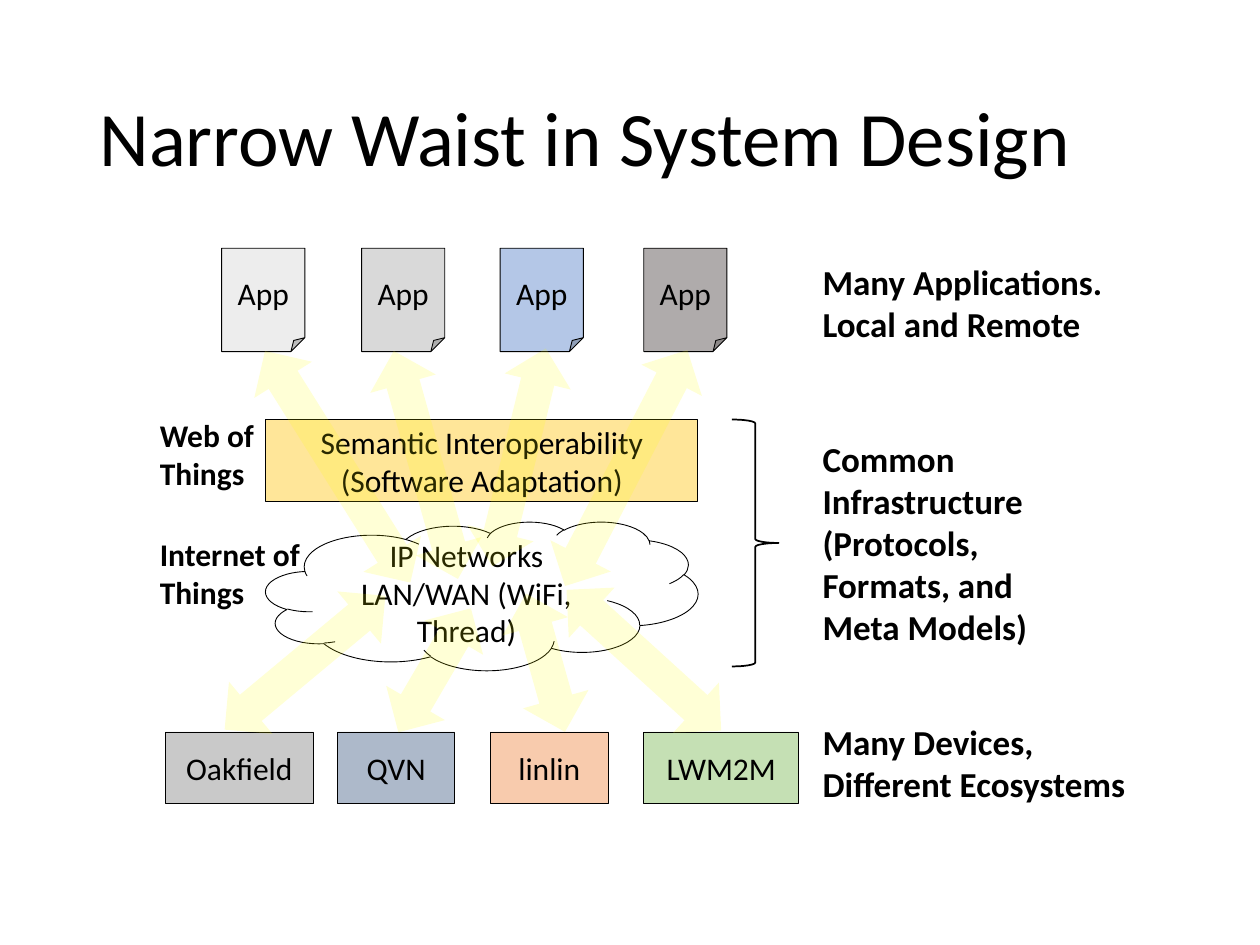
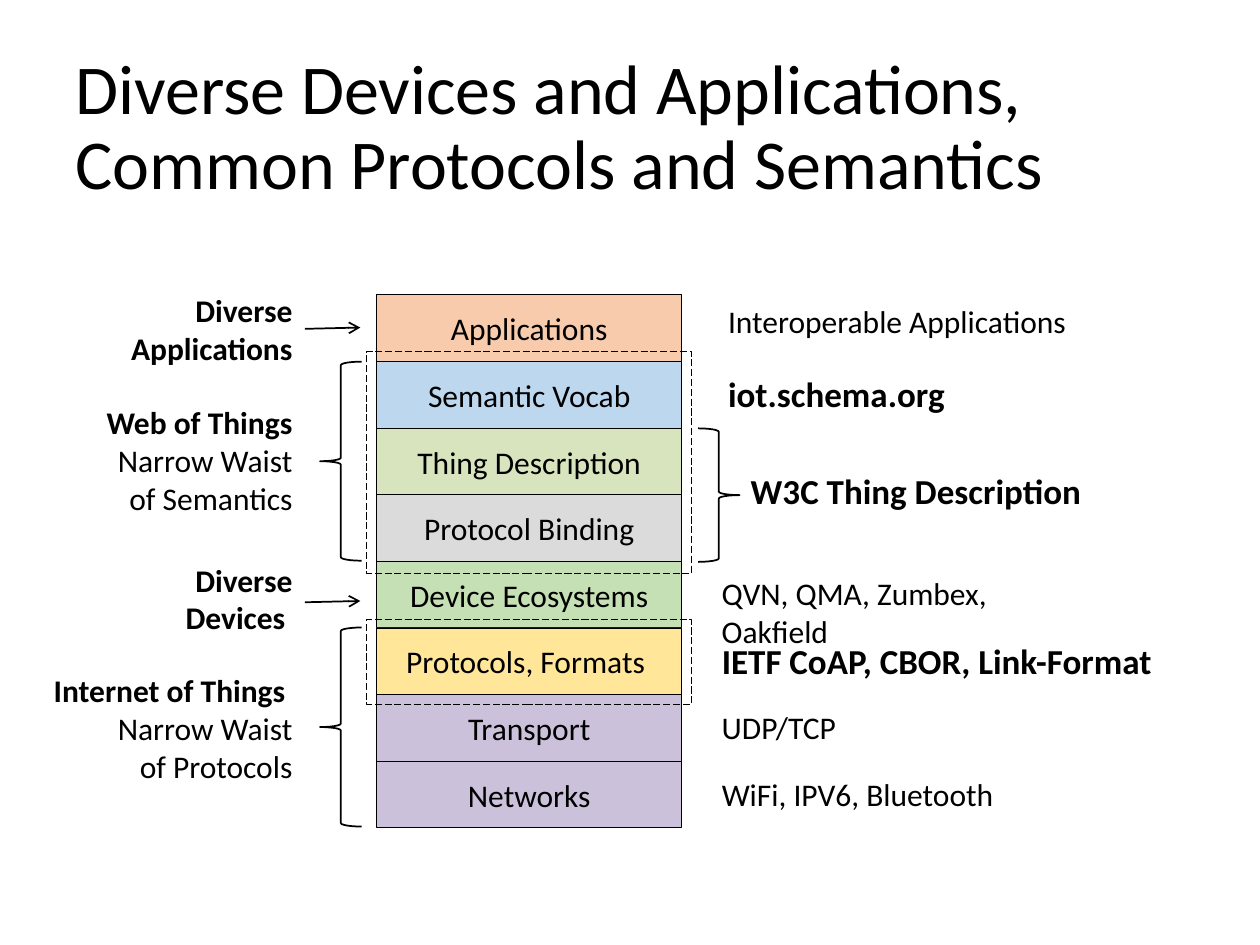
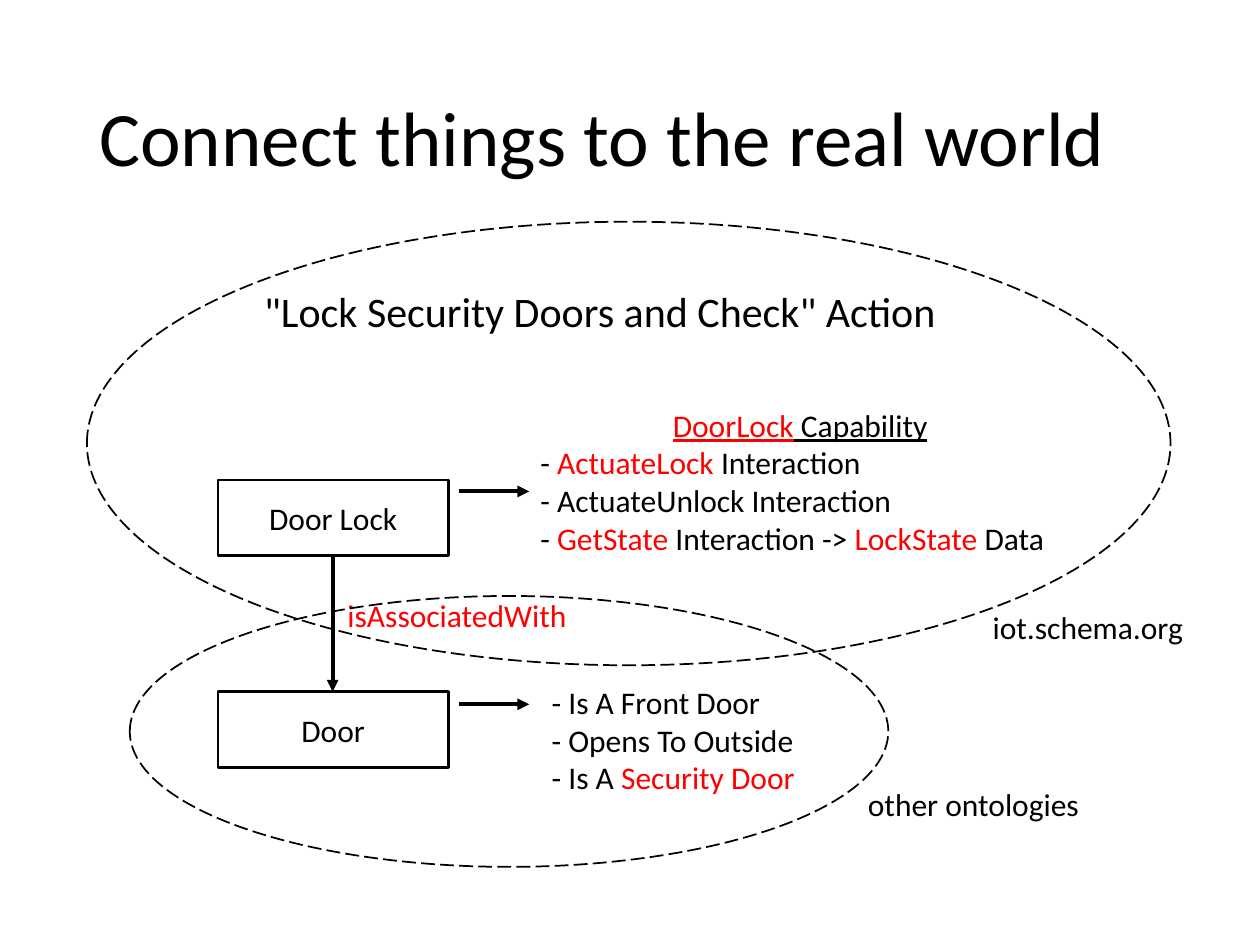
import pptx
import pptx.util
import pptx.dml.color
import pptx.enum.dml
import pptx.enum.shapes
import pptx.enum.text
import pptx.oxml.ns
import lxml.etree

Inches = pptx.util.Inches
Pt = pptx.util.Pt
RGB = pptx.dml.color.RGBColor
SHAPE = pptx.enum.shapes.MSO_SHAPE
ALIGN = pptx.enum.text.PP_ALIGN
ANCHOR = pptx.enum.text.MSO_ANCHOR
DASH = pptx.enum.dml.MSO_LINE.LONG_DASH

# Shared look
FONT = "Calibri"
BLACK = RGB(0, 0, 0)
RED = RGB(0xFF, 0, 0)
YELLOW = RGB(0xFF, 0xFF, 0)
PEACH = RGB(0xF8, 0xCB, 0xAD)
GREEN = RGB(0xC5, 0xE0, 0xB4)
LIME = RGB(0xD7, 0xE4, 0xBD)
GOLD = RGB(0xFF, 0xE6, 0x99)
LILAC = RGB(0xCC, 0xC1, 0xDA)
SKY = RGB(0xBD, 0xD7, 0xEE)
BLUE = RGB(0xB4, 0xC7, 0xE7)
SLATE = RGB(0xAD, 0xB9, 0xCA)
PALE_GREY = RGB(0xED, 0xED, 0xED)
LIGHT_GREY = RGB(0xD9, 0xD9, 0xD9)
SOFT_GREY = RGB(0xDB, 0xDB, 0xDB)
GREY = RGB(0xC9, 0xC9, 0xC9)
WARM_GREY = RGB(0xAF, 0xAB, 0xAB)
BOLD = {"bold": True}
STRONG = {"bold": True, "size": Pt(20)}
ACCENT = {"color": RED}


def place(region, left, top, width, height):
    """Turn a place inside a region (left, top) into slide lengths."""
    return [Inches(value) for value in
            (region[0] + left, region[1] + top, width, height)]


def write(frame, paras, style=None, align=ALIGN.LEFT, spacing=None):
    """Fill a frame; a paragraph is a string or a list of (text, style)."""
    for index, content in enumerate(paras):
        para = frame.paragraphs[0] if index == 0 else frame.add_paragraph()
        para.alignment = align
        if spacing:
            para.line_spacing = spacing
        runs = [(content, {})] if isinstance(content, str) else content
        for text, own in runs:
            look = {"name": FONT, "size": Pt(18), "color": BLACK}
            look.update(style or {})
            look.update(own)
            span = para.add_run()
            span.text = text
            span.font.color.rgb = look.pop("color")
            for name, value in look.items():
                setattr(span.font, name, value)


def add_title(page, text, left=0.69, top=0.4, size=44):
    box = page.shapes.add_textbox(*place((left, top), 0, 0, 8.62, 1.45))
    box.text_frame.word_wrap = True
    box.text_frame.vertical_anchor = ANCHOR.MIDDLE
    write(box.text_frame, [text], {"size": Pt(size)}, spacing=0.9)


def add_text(page, place_in, paras, style=None, align=ALIGN.LEFT, wrap=True):
    box = page.shapes.add_textbox(*place_in)
    box.text_frame.word_wrap = wrap
    box.text_frame.auto_size = pptx.enum.text.MSO_AUTO_SIZE.SHAPE_TO_FIT_TEXT
    write(box.text_frame, paras, style, align)
    return box


def add_figure(page, kind, place_in, text=None, fill=None, width=0.5,
               dash=None, turn=0):
    """Add a preset shape; a width of 0 means no outline."""
    figure = page.shapes.add_shape(kind, *place_in)
    figure.shadow.inherit = False
    figure.rotation = turn
    if fill is None:
        figure.fill.background()
    else:
        figure.fill.solid()
        figure.fill.fore_color.rgb = fill
    if width:
        figure.line.color.rgb = BLACK
        figure.line.width = Pt(width)
        if dash:
            figure.line.dash_style = dash
    else:
        figure.line.fill.background()
    if text:
        figure.text_frame.word_wrap = True
        figure.text_frame.vertical_anchor = ANCHOR.MIDDLE
        write(figure.text_frame, [text], align=ALIGN.CENTER)
    return figure


def add_arrow(page, region, start, end, width, head):
    line = page.shapes.add_connector(
        pptx.enum.shapes.MSO_CONNECTOR.STRAIGHT,
        *place(region, *start, 0, 0)[:2], *place(region, *end, 0, 0)[:2])
    line.line.color.rgb = BLACK
    line.line.width = Pt(width)
    qn = pptx.oxml.ns.qn
    outline = line.line._get_or_add_ln()
    lxml.etree.SubElement(outline, qn("a:tailEnd"), type=head)
    lxml.etree.SubElement(outline.getparent(), qn("a:effectLst"))


def set_opacity(figure, percent):
    qn = pptx.oxml.ns.qn
    color = figure.fill._xPr.find(qn("a:solidFill"))[0]
    lxml.etree.SubElement(color, qn("a:alpha"), val=str(percent * 1000))


# Slide 1 regions
def add_devices(page, region):
    for text, left, width, fill in (
            ("QVN", 1.37, 0.93, SLATE), ("linlin", 2.58, 0.94, PEACH),
            ("LWM2M", 3.8, 1.23, GREEN), ("Oakfield", 0, 1.18, GREY)):
        add_figure(page, SHAPE.RECTANGLE,
                   place(region, left, 0, width, 0.57), text, fill)


def add_waist(page, region):
    add_figure(page, SHAPE.CLOUD, place(region, 0, 0.81, 3.43, 1.18),
               "IP Networks LAN/WAN (WiFi, Thread)")
    add_figure(page, SHAPE.RECTANGLE, place(region, 0, 0, 3.43, 0.65),
               "Semantic Interoperability (Software Adaptation)", GOLD)


def add_apps(page, region):
    for left, fill in ((0, PALE_GREY), (3.35, WARM_GREY),
                       (2.21, BLUE), (1.11, LIGHT_GREY)):
        add_figure(page, SHAPE.FOLDED_CORNER,
                   place(region, left, 0, 0.66, 0.82), "App", fill)


def add_layer_captions(page, region):
    for top, width, height, paras in (
            (0, 2.82, 0.77, ["Many Applications. Local and Remote "]),
            (3.65, 2.92, 0.77, ["Many Devices, Different Ecosystems"]),
            (1.4, 2.2, 1.78, ["Common Infrastructure",
                              "(Protocols, Formats, and Meta Models)"])):
        add_text(page, place(region, 0, top, width, height), paras, STRONG)
    add_figure(page, SHAPE.RIGHT_BRACE,
               place(region, -0.62, 1.31, 0.37, 1.96), width=1)


def add_flows(page, region):
    """Translucent arrows from apps and devices into the network."""
    for left, top, height, turn in (
            (0.26, 0, 2.17, 327.9), (2.69, 1.79, 1.66, 312.3),
            (0, 1.81, 1.66, 50.2), (2.55, 0.04, 2.11, 27.4),
            (0.96, 0.13, 1.88, 344.3), (1.7, 0.12, 1.78, 13.8),
            (1.91, 2.07, 1.14, 344.3), (1.03, 2.13, 1.14, 30.3)):
        arrow = add_figure(page, SHAPE.UP_DOWN_ARROW,
                           place(region, left, top, 0.54, height),
                           fill=YELLOW, width=0, turn=turn)
        set_opacity(arrow, 16)


def add_scope_labels(page, region):
    for top, width, text in ((0.95, 1.56, "Internet of Things"),
                             (0, 1.22, "Web of Things")):
        add_text(page, place(region, 0, top, width, 0.71), [text], BOLD)


# Slide 2 regions
LAYERS = (("Applications", PEACH), ("Semantic Vocab", SKY),
          ("Thing Description", LIME), ("Protocol Binding", SOFT_GREY),
          ("Device Ecosystems", GREEN), ("Protocols, Formats ", GOLD),
          ("Transport", LILAC), ("Networks", LILAC))


def add_stack(page, region, width, height):
    row = height / len(LAYERS)
    for index, (text, fill) in enumerate(LAYERS):
        add_figure(page, SHAPE.RECTANGLE,
                   place(region, 0, index * row, width, row), text, fill)
    # Dashed frames around the two narrow waists
    for top, frame_height in ((0.45, 1.76), (2.58, 0.67)):
        add_figure(page, SHAPE.RECTANGLE,
                   place(region, -0.08, top, 2.58, frame_height), dash=DASH)


def add_examples(page, region):
    for left, top, width, text, strong in (
            (0.05, 0, 2.93, "Interoperable Applications", False),
            (0.05, 0.56, 1.94, "iot.schema.org", True),
            (0.23, 1.33, 2.85, "W3C Thing Description", True),
            (0, 2.16, 3, "QVN, QMA, Zumbex, Oakfield", False),
            (0, 2.68, 3.69, "IETF CoAP, CBOR, Link-Format ", True),
            (0, 3.22, 1.14, "UDP/TCP", False),
            (0, 3.75, 2.39, "WiFi, IPV6, Bluetooth", False)):
        add_text(page, place(region, left, top, width, 0.44 if strong else 0.4),
                 [text], STRONG if strong else None, wrap=False)
    add_figure(page, SHAPE.RIGHT_BRACE,
               place(region, -0.09, 1.05, 0.33, 1.06), width=1)


def add_roles(page, region, width):
    """Right-aligned role names with their braces and arrows."""
    for top, box_width, height, heading, details in (
            (3.02, 2.19, 1.01, "Internet of Things ",
             ["Narrow Waist", "of Protocols"]),
            (0.89, 1.92, 1.01, "Web of Things",
             ["Narrow Waist", "of Semantics"]),
            (0, 1.68, 0.71, "Diverse Applications", []),
            (2.14, 1.33, 0.71, "Diverse Devices ", [])):
        add_text(page, place(region, width - box_width, top, box_width, height),
                 [[(heading, BOLD)]] + details, align=ALIGN.RIGHT)
    for top in (0.61, 2.72):
        add_figure(page, SHAPE.RIGHT_BRACE,
                   place(region, width + 0.12, top, 0.33, 1.58),
                   width=1, turn=180)
    for top in (0.35, 2.52):
        add_arrow(page, region, (width, top), (width + 0.44, top - 0.01),
                  1, "arrow")


# Slide 3 regions
def add_things(page, region):
    for top, text in ((0, "Door Lock"), (1.68, "Door")):
        add_figure(page, SHAPE.RECTANGLE, place(region, 0, top, 1.83, 0.6),
                   text, width=1.5)
    for start, end in (((0.91, 0.6), (0.91, 1.68)),
                       ((1.91, 0.09), (2.47, 0.09)),
                       ((1.91, 1.78), (2.47, 1.78))):
        add_arrow(page, region, start, end, 2.25, "triangle")
    add_text(page, place(region, 0.93, 0.87, 1.96, 0.4),
             ["isAssociatedWith"], ACCENT, wrap=False)


def add_facts(page, region):
    capability = add_text(page, place(region, 0, 0, 4.32, 1.31), [
        [("DoorLock", {"color": RED, "underline": True}),
         (" Capability", {"underline": True})],
        [("- ", {}), ("ActuateLock ", ACCENT), ("Interaction", {})],
        "- ActuateUnlock Interaction",
        [("- ", {}), ("GetState", ACCENT), (" Interaction -> ", {}),
         ("LockState", ACCENT), (" Data", {})]], wrap=False)
    capability.text_frame.paragraphs[0].alignment = ALIGN.CENTER
    add_text(page, place(region, 0.09, 2.2, 2.14, 1.01), [
        "- Is A Front Door", "- Opens To Outside",
        [("- Is A ", {}), ("Security Door", ACCENT)]], wrap=False)


def add_ontologies(page, region):
    add_text(page, place(region, 1.28, 0.46, 5.66, 0.5),
             ['"Lock Security Doors and Check" Action '],
             {"size": Pt(24)}, ALIGN.CENTER, wrap=False)
    for left, top, width, height in ((0, 0, 8.6, 3.52),
                                     (0.34, 2.97, 6.02, 2.15)):
        add_figure(page, SHAPE.OVAL, place(region, left, top, width, height),
                   width=1, dash=DASH)
    for left, top, width, text in ((7.09, 3.02, 1.73, "iot.schema.org"),
                                   (6.1, 4.42, 1.9, "other ontologies")):
        add_text(page, place(region, left, top, width, 0.4), [text], wrap=False)


deck = pptx.Presentation()
deck.slide_width, deck.slide_height = Inches(10), Inches(7.5)
blank = deck.slide_layouts[6]

page = deck.slides.add_slide(blank)
add_title(page, "Narrow Waist in System Design")
add_devices(page, (1.31, 5.81))
add_waist(page, (2.11, 3.33))
add_apps(page, (1.76, 1.97))
add_layer_captions(page, (6.43, 2.02))
add_flows(page, (2.15, 2.62))
add_scope_labels(page, (1.17, 3.25))

page = deck.slides.add_slide(blank)
add_title(page, "Diverse Devices and Applications, Common Protocols and Semantics ",
          0.5, 0.3, 40)
add_stack(page, (2.99, 2.34), 2.42, 4.23)
add_examples(page, (5.63, 2.35))
add_roles(page, (0.22, 2.26), 2.2)

page = deck.slides.add_slide(blank)
add_title(page, "Connect things to the real world")
add_things(page, (1.73, 3.81))
add_facts(page, (4.19, 3.17))
add_ontologies(page, (0.69, 1.76))

deck.save("out.pptx")
